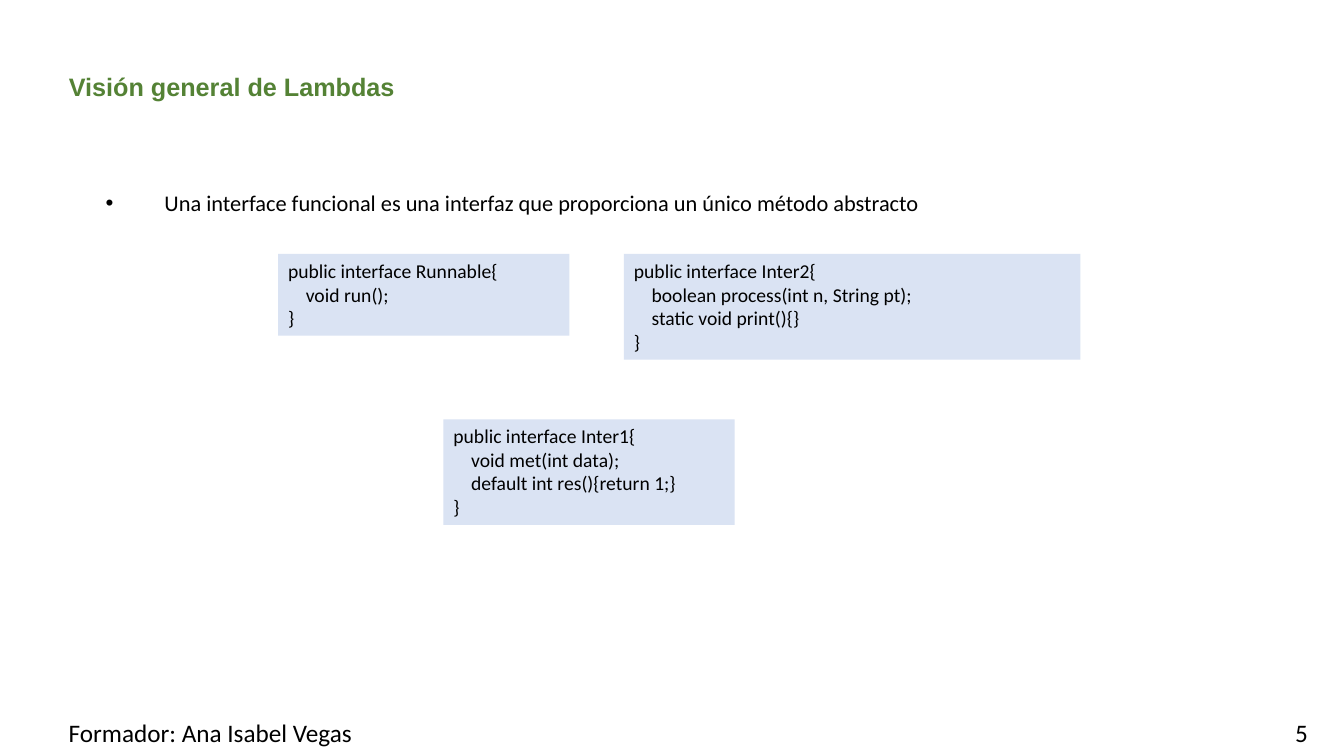
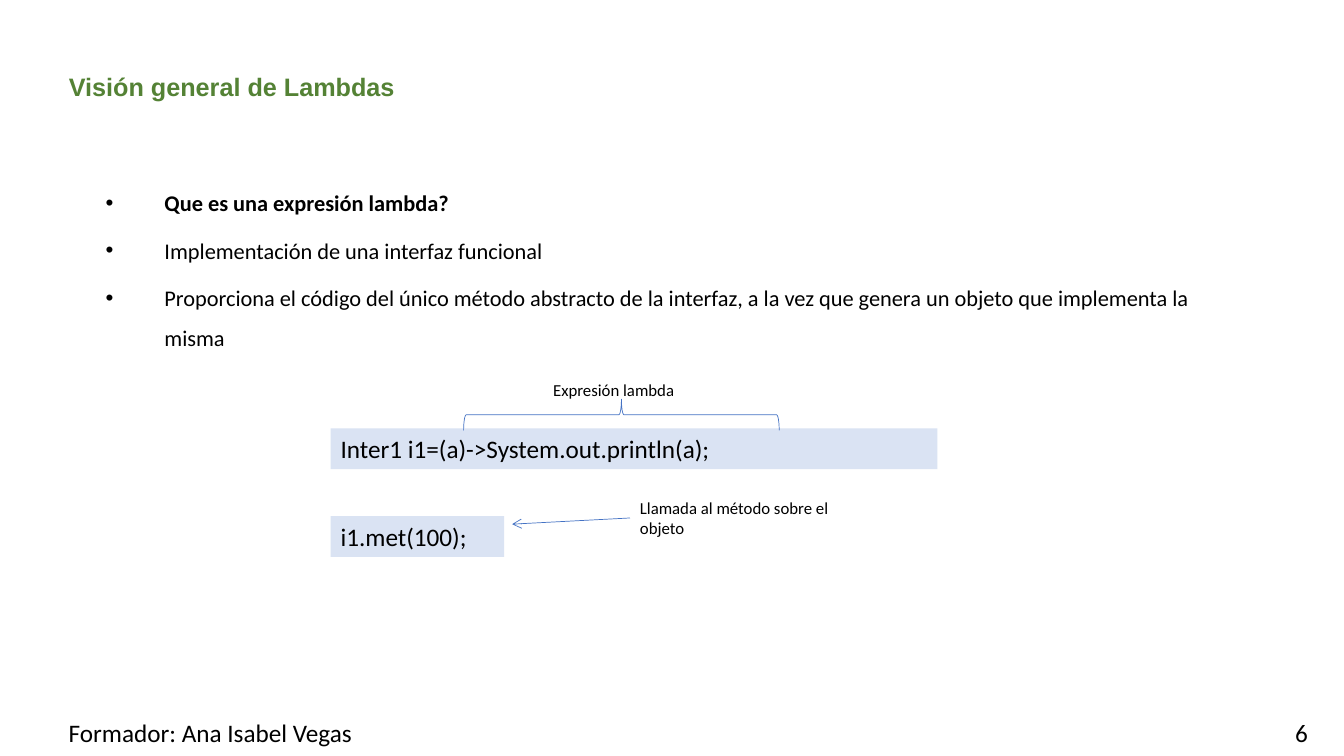
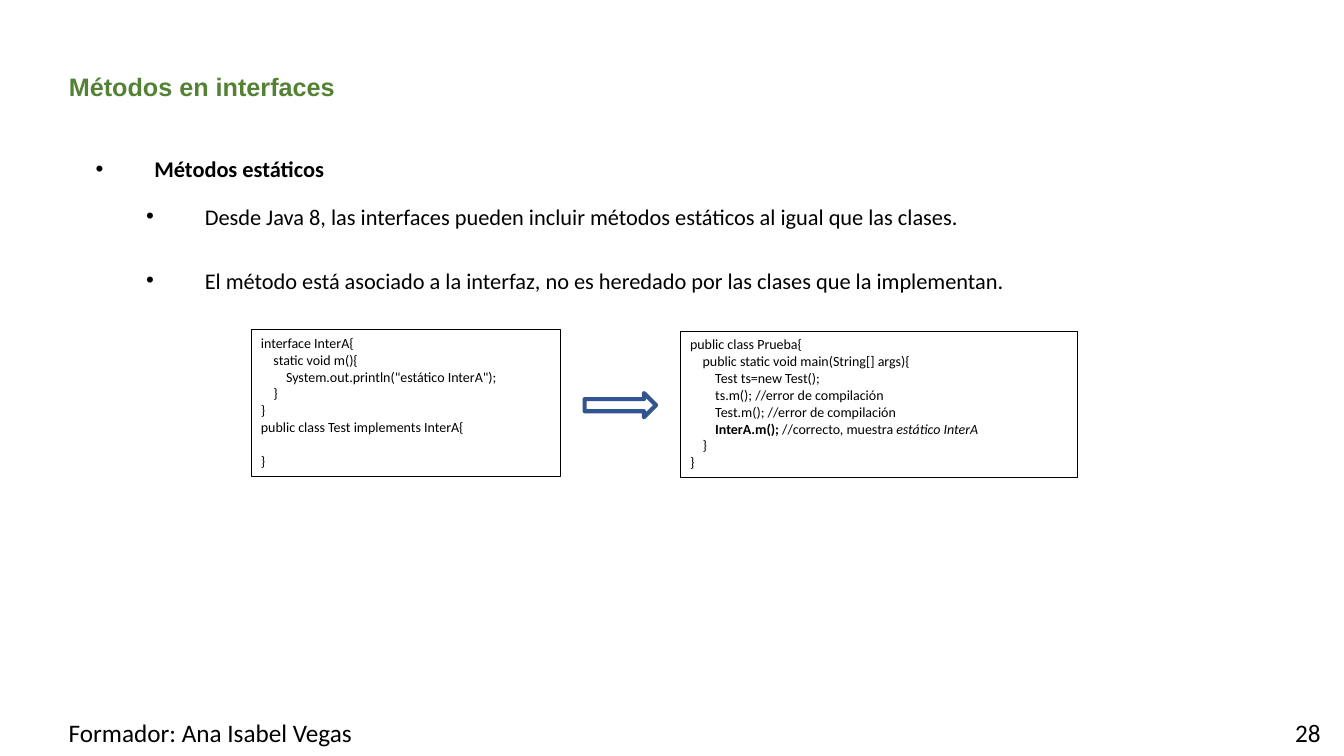
from lxml import etree
from pptx import Presentation
from pptx.dml.color import RGBColor
from pptx.enum.shapes import MSO_CONNECTOR, MSO_SHAPE
from pptx.enum.text import MSO_ANCHOR, MSO_AUTO_SIZE, PP_ALIGN
from pptx.oxml.ns import qn
from pptx.util import Pt

BLACK = RGBColor(0x00, 0x00, 0x00)
GREEN = RGBColor(0x54, 0x82, 0x35)
PALE_BLUE = RGBColor(0xDA, 0xE3, 0xF3)
BLUE = RGBColor(0x44, 0x72, 0xC4)
DARK_BLUE = RGBColor(0x32, 0x54, 0x91)

RECTANGLE = MSO_SHAPE.RECTANGLE
LEFT_BRACE = MSO_SHAPE.LEFT_BRACE
RIGHT_ARROW = MSO_SHAPE.RIGHT_ARROW
STRAIGHT = MSO_CONNECTOR.STRAIGHT
TOP = MSO_ANCHOR.TOP
LEFT = PP_ALIGN.LEFT
NO_AUTOFIT = MSO_AUTO_SIZE.NONE

TITLE_FONT = "Arial"
BODY_FONT = "Calibri"
TITLE_ONLY = 5
PAGE_SIZE = (960, 540)
TITLE_BOX = (42, 49.7, 869, 34)
FOOTER_BOX = (42, 508.5, 304, 29)
NUMBER_BOX = (918, 509, 38, 29)
FOOTER = "Formador: Ana Isabel Vegas"
BULLET_INDENT = 42
LEVEL_STEP = 36
LINE_HEIGHT = 1.22
INSET = 3.6


def points(*lengths):
    """Turn plain numbers into point lengths."""
    return [Pt(length) for length in lengths]


def style_font(font, size, color=BLACK, name=BODY_FONT, bold=False, italic=False):
    """Set every font property of a run."""
    font.size = Pt(size)
    font.name = name
    font.color.rgb = color
    font.bold = bold
    font.italic = italic


def add_span(para, text, size, **style):
    """Append one formatted run to a paragraph."""
    span = para.add_run()
    span.text = text
    style_font(span.font, size, **style)


def set_frame(frame):
    """Make a text frame wrap from the top with a fixed size."""
    frame.word_wrap = True
    frame.auto_size = NO_AUTOFIT
    frame.vertical_anchor = TOP


def next_para(frame, index):
    """Return the first paragraph, or append another."""
    return frame.add_paragraph() if index else frame.paragraphs[0]


def add_label(page, box, text, size):
    """Place a one-paragraph text box."""
    label = page.shapes.add_textbox(*points(*box))
    set_frame(label.text_frame)
    add_span(label.text_frame.paragraphs[0], text, size)
    return label


def add_outline(page, kind, box, color, width):
    """Place an unfilled preset shape with a coloured line."""
    shape = page.shapes.add_shape(kind, *points(*box))
    shape.shadow.inherit = False
    shape.fill.background()
    shape.line.color.rgb = color
    shape.line.width = Pt(width)
    return shape


def add_page(deck, title, number):
    """Add a slide with its title, footer and number."""
    page = deck.slides.add_slide(deck.slide_layouts[TITLE_ONLY])
    heading = page.shapes.title
    heading.left, heading.top, heading.width, heading.height = points(*TITLE_BOX)
    set_frame(heading.text_frame)
    para = heading.text_frame.paragraphs[0]
    para.alignment = LEFT
    para.line_spacing = 0.9
    add_span(para, title, 18, color=GREEN, name=TITLE_FONT, bold=True)
    add_label(page, FOOTER_BOX, FOOTER, 18)
    add_label(page, NUMBER_BOX, number, 18)
    return page


def add_bullets(page, box, items):
    """Place bulleted paragraphs given as (text, level, bold)."""
    frame = page.shapes.add_textbox(*points(*box)).text_frame
    set_frame(frame)
    for index, (text, level, bold) in enumerate(items):
        para = next_para(frame, index)
        properties = para._p.get_or_add_pPr()
        properties.set("marL", str(Pt(BULLET_INDENT + level * LEVEL_STEP)))
        properties.set("indent", str(-Pt(BULLET_INDENT)))
        etree.SubElement(properties, qn("a:buFont"), typeface=TITLE_FONT)
        etree.SubElement(properties, qn("a:buChar"), char="•")
        para.line_spacing = 1.5
        if index:
            para.space_before = Pt(5)
        para.space_after = Pt(12 * level)
        add_span(para, text, 16, bold=bold)


def add_code(page, left, top, width, size, lines, outlined=False):
    """Place a code box as tall as its lines; a line is text or styled parts."""
    height = round(len(lines) * size * LINE_HEIGHT + 2 * INSET, 2)
    panel = add_outline(page, RECTANGLE, (left, top, width, height), BLACK, 0.5)
    if not outlined:
        panel.fill.solid()
        panel.fill.fore_color.rgb = PALE_BLUE
        panel.line.fill.background()
    frame = panel.text_frame
    set_frame(frame)
    gap = 0
    written = 0
    for line in lines:
        if not line:
            gap += size * LINE_HEIGHT
            continue
        para = next_para(frame, written)
        para.alignment = LEFT
        if gap:
            para.space_before = Pt(gap)
        parts = [(line, {})] if isinstance(line, str) else line
        for text, style in parts:
            add_span(para, text, size, **style)
        gap = 0
        written += 1


def add_pointer(page, caption, end):
    """Draw an arrow from the left side of a caption to a point."""
    pointer = page.shapes.add_connector(
        STRAIGHT, caption.left, caption.top + caption.height // 2, *points(*end))
    pointer.begin_connect(caption, 1)
    pointer.line.color.rgb = BLUE
    pointer.line.width = Pt(0.5)
    properties = pointer._element.spPr
    etree.SubElement(properties.find(qn("a:ln")), qn("a:tailEnd"), type="arrow")
    etree.SubElement(properties, qn("a:effectLst"))


def build_functional_interfaces(deck):
    """Build the slide with three functional interfaces."""
    page = add_page(deck, "Visión general de Lambdas", "5")
    add_bullets(page, (68.4, 122.2, 815, 346), [
        ("Una interface funcional es una interfaz que proporciona un único método abstracto", 0, False),
    ])
    add_code(page, 316.8, 299.5, 208, 14, [
        "public interface Inter1{",
        "    void met(int data);",
        "    default int res(){return 1;}",
        "}",
    ])
    add_code(page, 445.7, 181.4, 326, 14, [
        "public interface Inter2{",
        "    boolean process(int n, String pt);",
        "    static void print(){}",
        "}",
    ])
    add_code(page, 198.7, 181.4, 208, 14, [
        "public interface Runnable{",
        "    void run();",
        "}",
    ])


def build_lambda_expression(deck):
    """Build the slide that explains a lambda expression."""
    page = add_page(deck, "Visión general de Lambdas", "6")
    add_bullets(page, (68.4, 122.2, 815, 346), [
        ("Que es una expresión lambda?", 0, True),
        ("Implementación de una interfaz funcional", 0, False),
        ("Proporciona el código del único método abstracto de la interfaz, "
         "a la vez que genera un objeto que implementa la misma", 0, False),
    ])
    code_left = 236.2
    add_code(page, code_left, 306, 433.4, 18, ["Inter1 i1=(a)->System.out.println(a);"])
    brace = add_outline(page, LEFT_BRACE, (432.7, 183.6, 22.3, 225.4), BLUE, 0.5)
    brace.rotation = 90
    add_label(page, (388, 267.8, 180, 21.6), "Expresión lambda", 12)
    add_code(page, code_left, 368.6, 124, 18, ["i1.met(100);"])
    caption = add_label(page, (450, 352, 157.7, 36), "Llamada al método sobre el objeto", 12)
    add_pointer(page, caption, (365.8, 374.4))


def build_static_methods(deck):
    """Build the slide about static methods in interfaces."""
    page = add_page(deck, "Métodos en interfaces", "28")
    add_bullets(page, (61.2, 97.9, 815, 366), [
        ("Métodos estáticos", 0, True),
        ("Desde Java 8, las interfaces pueden incluir métodos estáticos al igual que las clases.", 1, False),
        ("El método está asociado a la interfaz, no es heredado por las clases que la implementan.", 1, False),
    ])
    add_code(page, 179.3, 235.4, 221, 10, [
        "interface InterA{",
        "    static void m(){",
        "        System.out.println(\"estático InterA\");",
        "    }",
        "}",
        "public class Test implements InterA{",
        "",
        "}",
    ], outlined=True)
    add_code(page, 485.8, 236.4, 283.5, 10, [
        "public class Prueba{",
        "    public static void main(String[] args){",
        "        Test ts=new Test();",
        "        ts.m(); //error de compilación",
        "        Test.m(); //error de compilación",
        [("        ", {}), ("InterA.m();", {"bold": True}),
         (" //correcto, muestra ", {}), ("estático InterA", {"italic": True})],
        "    }",
        "}",
    ], outlined=True)
    add_outline(page, RIGHT_ARROW, (417.6, 280.8, 51, 17.3), DARK_BLUE, 3)


def main():
    """Build and save the deck."""
    deck = Presentation()
    deck.slide_width, deck.slide_height = points(*PAGE_SIZE)
    build_functional_interfaces(deck)
    build_lambda_expression(deck)
    build_static_methods(deck)
    deck.save("out.pptx")


if __name__ == "__main__":
    main()
